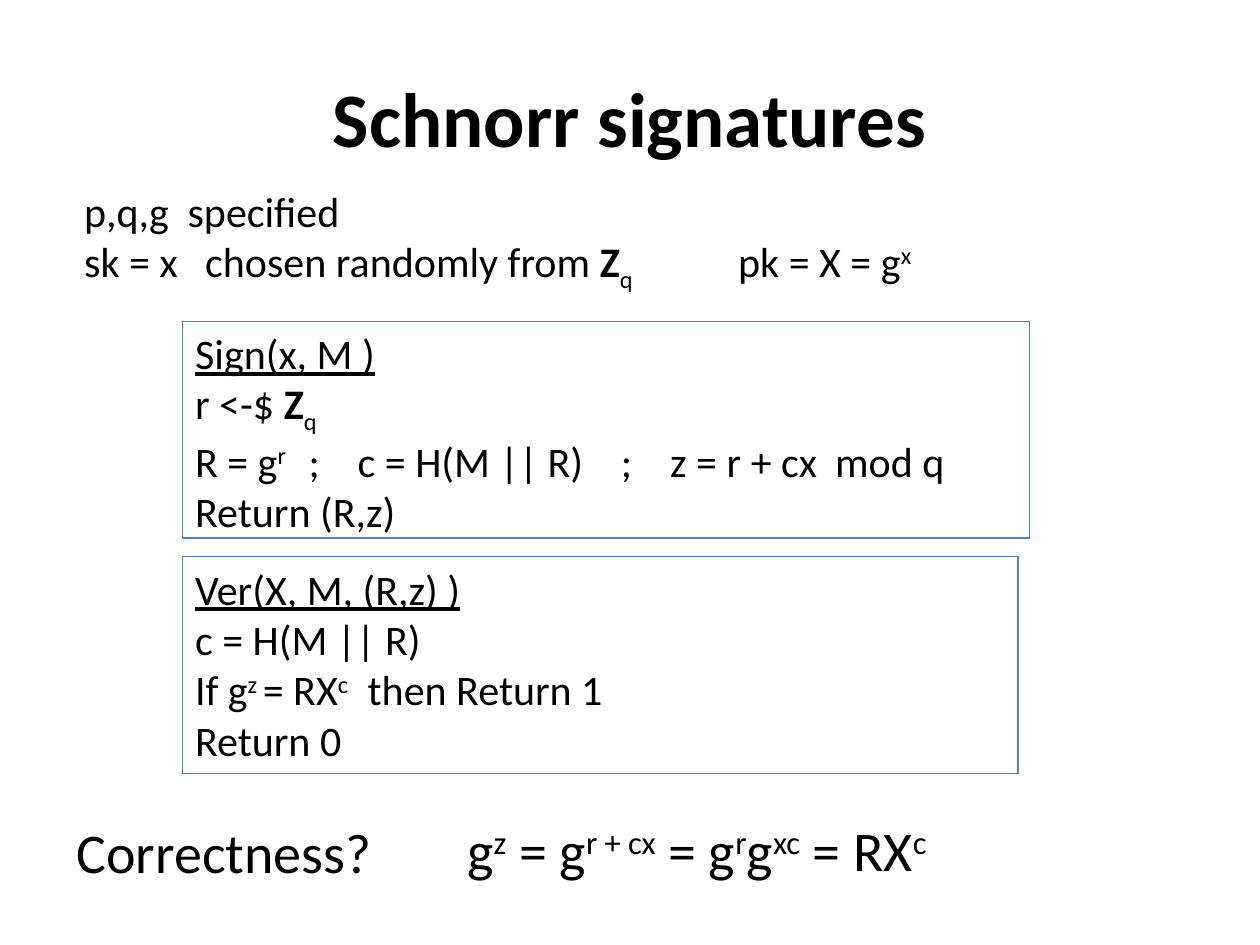
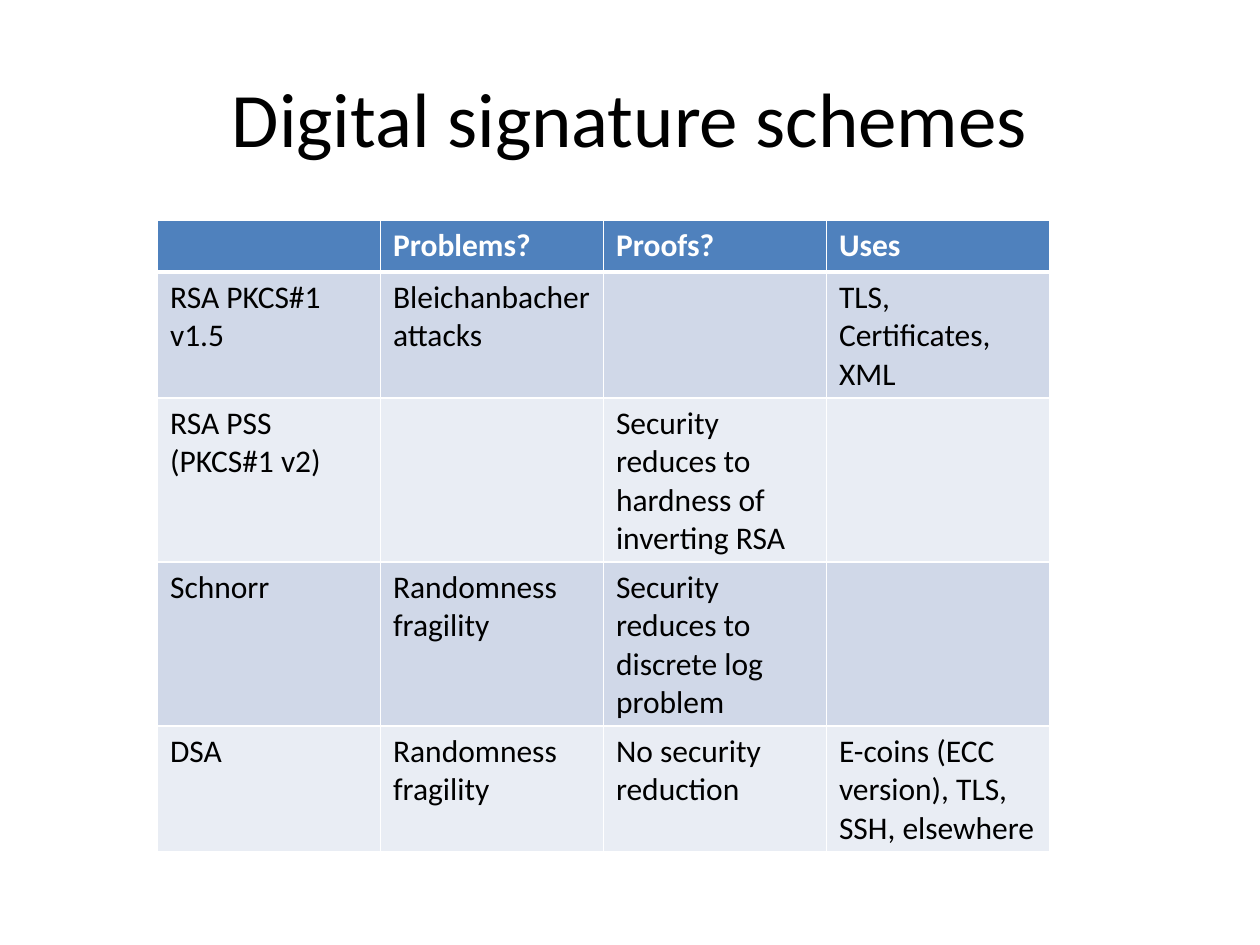
from dataclasses import dataclass

from lxml import etree
from pptx import Presentation
from pptx import util as u
from pptx.dml.color import RGBColor
from pptx.enum import shapes, text
from pptx.oxml import ns


@dataclass(frozen=True)
class Theme:
    font: str = "Calibri"
    ink: str = "000000"
    paper: str = "FFFFFF"
    accent: str = "4F81BD"
    bands: tuple = ("D0D8E8", "E9EDF4")
    title: int = 44
    formula: int = 32
    body: int = 24
    cell: int = 18
    outline: float = 0.75
    grid: int = 1
    header_rule: int = 3


THEME = Theme()
SLIDE_SIZE = u.Inches(10), u.Inches(7.5)
BASELINES = {"sup": "30000", "sub": "-25000"}

KEY_SETUP = [
    ["p,q,g\tspecified"],
    ["sk = x\tchosen randomly from ", ("Z", "bold"), ("q", "sub"),
     "\tpk = X = g", ("x", "sup")],
]
KEY_TABS = [[0.82], [0.96, 5.19]]
SIGN = [
    [("Sign(x, M )", "underline")],
    ["r <-$ ", ("Z", "bold"), ("q", "sub")],
    ["R = g", ("r", "sup"), "\t;\tc = H(M || R)\t;\tz = r + cx\tmod q"],
    ["Return (R,z)"],
]
SIGN_TABS = [[], [], [0.9, 1.29, 3.38, 3.77, 5.08], []]
VERIFY = [
    [("Ver(X, M, (R,z) )", "underline")],
    ["c = H(M || R)"],
    ["If g", ("z ", "sup"), "= RX", ("c", "sup"), "\tthen Return 1"],
    ["Return 0"],
]
VERIFY_TABS = [[], [], [1.37], []]
CORRECTNESS = [["g", ("z", "sup"), " = g", ("r + cx", "sup"), " = g", ("r", "sup"),
                "g", ("xc", "sup"), " = RX", ("c", "sup")]]
SCHEMES = [
    ["", "Problems?", "Proofs?", "Uses"],
    ["RSA PKCS#1 v1.5", "Bleichanbacher attacks", "", "TLS, Certificates, XML"],
    ["RSA PSS (PKCS#1 v2)", "", "Security reduces to hardness of inverting RSA", ""],
    ["Schnorr", "Randomness fragility", "Security reduces to discrete log problem", ""],
    ["DSA", "Randomness fragility", "No security reduction",
     "E-coins (ECC version), TLS, SSH, elsewhere"],
]


def color(value):
    return RGBColor.from_string(value)


def percent_box(left, top, width, height):
    slide_width, slide_height = SLIDE_SIZE
    return (round(slide_width * left / 100), round(slide_height * top / 100),
            round(slide_width * width / 100), round(slide_height * height / 100))


def add_run(paragraph, words, size, style="", ink=THEME.ink):
    run = paragraph.add_run()
    run.text = words
    run.font.name = THEME.font
    run.font.size = u.Pt(size)
    run.font.color.rgb = color(ink)
    run.font.bold = style == "bold"
    run.font.underline = style == "underline"
    if style in BASELINES:
        run.font._element.set("baseline", BASELINES[style])


def set_tabs(paragraph, stops):
    if not stops:
        return
    tab_list = etree.SubElement(paragraph._p.get_or_add_pPr(), ns.qn("a:tabLst"))
    for stop in stops:
        etree.SubElement(tab_list, ns.qn("a:tab"), pos=str(u.Inches(stop)), algn="l")


def write_lines(frame, lines, size, tabs=None, align=text.PP_ALIGN.LEFT):
    for index, line in enumerate(lines):
        paragraph = frame.add_paragraph() if index else frame.paragraphs[0]
        paragraph.alignment = align
        set_tabs(paragraph, tabs[index] if tabs else [])
        for part in line:
            words, style = (part, "") if isinstance(part, str) else part
            add_run(paragraph, words, size, style)


def add_label(slide, area, lines, size, tabs=None, wrap=False):
    frame = slide.shapes.add_textbox(*percent_box(*area)).text_frame
    frame.word_wrap = wrap
    write_lines(frame, lines, size, tabs)


def add_title(slide, words, style=""):
    frame = slide.shapes.add_textbox(*percent_box(5, 4, 90, 16.67)).text_frame
    frame.word_wrap = True
    frame.vertical_anchor = text.MSO_ANCHOR.MIDDLE
    write_lines(frame, [[(words, style)]], THEME.title, align=text.PP_ALIGN.CENTER)


def add_algorithm(slide, area, lines, tabs):
    panel = slide.shapes.add_shape(shapes.MSO_SHAPE.RECTANGLE, *percent_box(*area))
    panel.shadow.inherit = False
    panel.fill.background()
    panel.line.color.rgb = color(THEME.accent)
    panel.line.width = u.Pt(THEME.outline)
    panel.text_frame.word_wrap = True
    panel.text_frame.vertical_anchor = text.MSO_ANCHOR.TOP
    write_lines(panel.text_frame, lines, THEME.body, tabs)


def set_borders(cell, row):
    widths = {"L": THEME.grid, "R": THEME.grid,
              "T": THEME.header_rule if row == 1 else THEME.grid,
              "B": THEME.header_rule if row == 0 else THEME.grid}
    properties = cell._tc.get_or_add_tcPr()
    for side, width in widths.items():
        border = etree.SubElement(properties, ns.qn(f"a:ln{side}"), w=str(u.Pt(width)))
        fill = etree.SubElement(border, ns.qn("a:solidFill"))
        etree.SubElement(fill, ns.qn("a:srgbClr"), val=THEME.paper)


def add_comparison(slide, area, rows):
    table = slide.shapes.add_table(len(rows), len(rows[0]), *percent_box(*area)).table
    for row, entries in enumerate(rows):
        header = row == 0
        band = THEME.accent if header else THEME.bands[(row - 1) % 2]
        for column, words in enumerate(entries):
            cell = table.cell(row, column)
            set_borders(cell, row)
            cell.fill.solid()
            cell.fill.fore_color.rgb = color(band)
            if words:
                add_run(cell.text_frame.paragraphs[0], words, THEME.cell,
                        "bold" if header else "", THEME.paper if header else THEME.ink)


def add_slide(deck):
    slide = deck.slides.add_slide(deck.slide_layouts[6])
    slide.background.fill.solid()
    slide.background.fill.fore_color.rgb = color(THEME.paper)
    return slide


def build_schnorr(deck):
    slide = add_slide(deck)
    add_title(slide, "Schnorr signatures", "bold")
    add_label(slide, (5.7, 18.93, 68.8, 12.13), KEY_SETUP, THEME.body, KEY_TABS, wrap=True)
    add_algorithm(slide, (14.5, 34, 67.2, 22.93), SIGN, SIGN_TABS)
    add_algorithm(slide, (14.5, 58.93, 66.3, 22.93), VERIFY, VERIFY_TABS)
    add_label(slide, (36.1, 85.6, 40.5, 8.53), CORRECTNESS, THEME.formula)
    add_label(slide, (5.1, 85.87, 25.7, 8.53), [["Correctness?"]], THEME.formula)


def build_schemes(deck):
    slide = add_slide(deck)
    add_title(slide, "Digital signature schemes")
    add_comparison(slide, (12.5, 23.33, 70.8, 27.33), SCHEMES)


def main():
    deck = Presentation()
    deck.slide_width, deck.slide_height = SLIDE_SIZE
    build_schnorr(deck)
    build_schemes(deck)
    deck.save("out.pptx")


if __name__ == "__main__":
    main()
